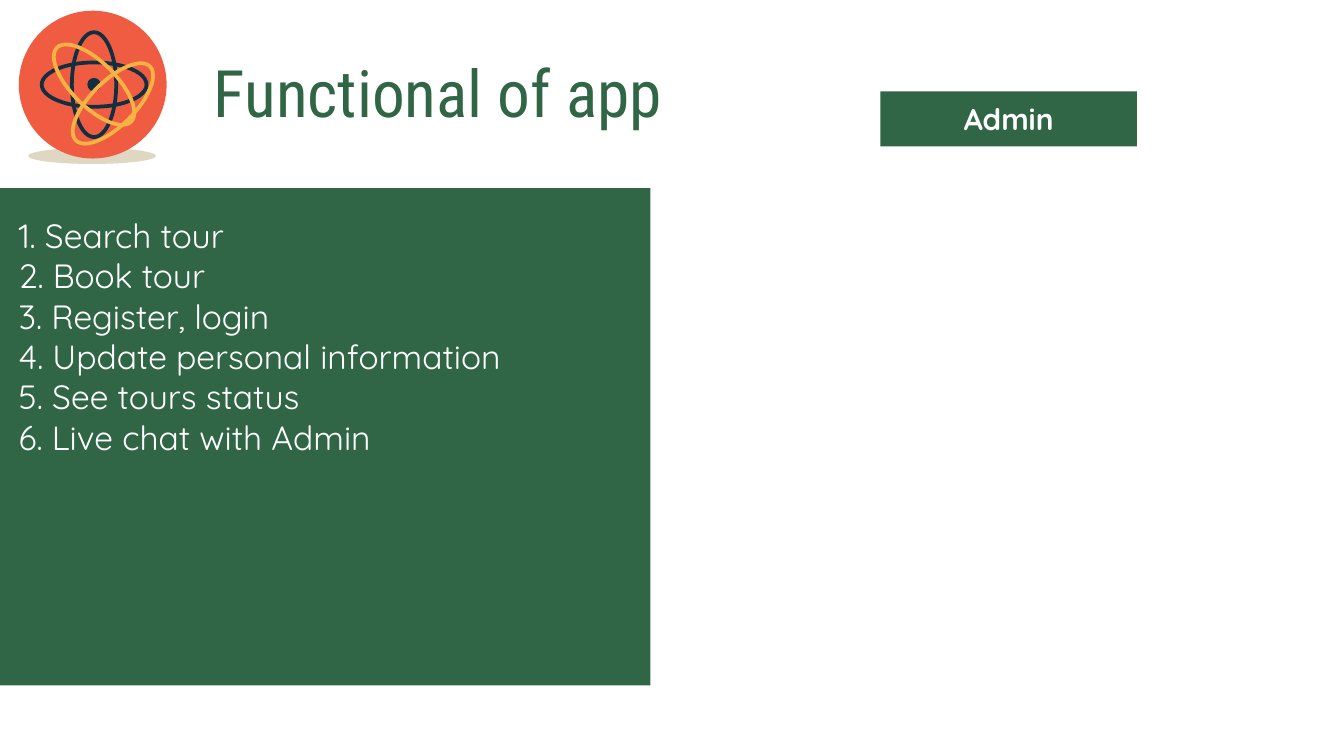
from dataclasses import dataclass

from pptx import Presentation
from pptx.dml.color import RGBColor
from pptx.enum.shapes import MSO_SHAPE
from pptx.enum.text import MSO_ANCHOR, MSO_AUTO_SIZE, PP_ALIGN
from pptx.shapes.autoshape import Shape
from pptx.slide import Slide
from pptx.util import Inches, Pt


@dataclass(frozen=True)
class Theme:
    green: str = "306645"
    white: str = "FFFFFF"
    sand: str = "DFD7C2"
    coral: str = "F05C42"
    navy: str = "102F41"
    amber: str = "F6B344"
    head: str = "Roboto Condensed"
    body: str = "Quicksand"
    title: int = 35
    item: int = 18
    label: int = 16
    ring: int = 2


@dataclass(frozen=True)
class Box:
    left: float
    top: float
    width: float
    height: float

    def lengths(self) -> tuple:
        return tuple(map(Inches, (self.left, self.top, self.width, self.height)))


@dataclass(frozen=True)
class Disc:
    box: Box
    color: str


@dataclass(frozen=True)
class Orbit:
    x: float
    y: float
    turn: float
    color: str


WIDTH = 10
HEIGHT = WIDTH * 9 / 16
THEME = Theme()
DISCS = (
    Disc(Box(0.21, 1.1, 0.95, 0.12), THEME.sand),
    Disc(Box(0.14, 0.08, 1.1, 1.1), THEME.coral),
    Disc(Box(0.65, 0.58, 0.1, 0.1), THEME.navy),
)
ORBITS = (
    Orbit(0.7, 0.63, 0, THEME.navy),
    Orbit(0.7, 0.63, 90, THEME.navy),
    Orbit(0.7, 0.63, -45, THEME.amber),
    Orbit(0.84, 0.77, 45, THEME.amber),
)
ITEMS = (
    "1. Search tour",
    "2. Book tour",
    "3. Register, login",
    "4. Update personal information",
    "5. See tours status",
    "6. Live chat with Admin",
)


def write(shape: Shape, *lines: str, font: str, size: int, color: str,
          bold: bool = False, align: PP_ALIGN = PP_ALIGN.LEFT,
          anchor: MSO_ANCHOR = MSO_ANCHOR.TOP,
          side: float = 0.1, edge: float = 0.1) -> None:
    """Fill a shape with one paragraph per line; side and edge are insets."""
    frame = shape.text_frame
    frame.text = "\n".join(lines)
    frame.word_wrap = True
    frame.auto_size = MSO_AUTO_SIZE.NONE
    frame.vertical_anchor = anchor
    frame.margin_left = frame.margin_right = Inches(side)
    frame.margin_top = frame.margin_bottom = Inches(edge)
    for para in frame.paragraphs:
        para.alignment = align
        for run in para.runs:
            run.font.name = font
            run.font.size = Pt(size)
            run.font.bold = bold
            run.font.color.rgb = RGBColor.from_string(color)


def solid(slide: Slide, kind: MSO_SHAPE, box: Box, color: str) -> Shape:
    shape = slide.shapes.add_shape(kind, *box.lengths())
    shape.shadow.inherit = False
    shape.fill.solid()
    shape.fill.fore_color.rgb = RGBColor.from_string(color)
    shape.line.fill.background()
    return shape


def ring(slide: Slide, orbit: Orbit) -> None:
    """Draw an upright oval outline about its centre, then turn it."""
    width, height = 0.33, 0.78
    box = Box(orbit.x - width / 2, orbit.y - height / 2, width, height)
    shape = slide.shapes.add_shape(MSO_SHAPE.OVAL, *box.lengths())
    shape.shadow.inherit = False
    shape.fill.background()
    shape.line.color.rgb = RGBColor.from_string(orbit.color)
    shape.line.width = Pt(THEME.ring)
    shape.rotation = orbit.turn


def main() -> None:
    deck = Presentation()
    deck.slide_width, deck.slide_height = Inches(WIDTH), Inches(HEIGHT)
    slide = deck.slides.add_slide(deck.slide_layouts[5])

    title = slide.shapes.title
    title.left, title.top, title.width, title.height = Box(1.38, 0.29, 4.54, 0.63).lengths()
    write(title, "Functional of app", font=THEME.head, size=THEME.title,
          color=THEME.green, side=0.21)

    for disc in DISCS:
        solid(slide, MSO_SHAPE.OVAL, disc.box, disc.color)
    for orbit in ORBITS:
        ring(slide, orbit)

    solid(slide, MSO_SHAPE.RECTANGLE, Box(0, 1.4, 4.84, 3.7), THEME.green)
    tasks = slide.shapes.add_textbox(*Box(0.04, 1.55, 5.63, 1.92).lengths())
    write(tasks, *ITEMS, font=THEME.body, size=THEME.item,
          color=THEME.white, edge=0.05)

    role = solid(slide, MSO_SHAPE.RECTANGLE, Box(6.55, 0.68, 1.91, 0.41), THEME.green)
    write(role, "Admin", font=THEME.body, size=THEME.label, color=THEME.white,
          bold=True, align=PP_ALIGN.CENTER, anchor=MSO_ANCHOR.MIDDLE)

    deck.save("out.pptx")


if __name__ == "__main__":
    main()
